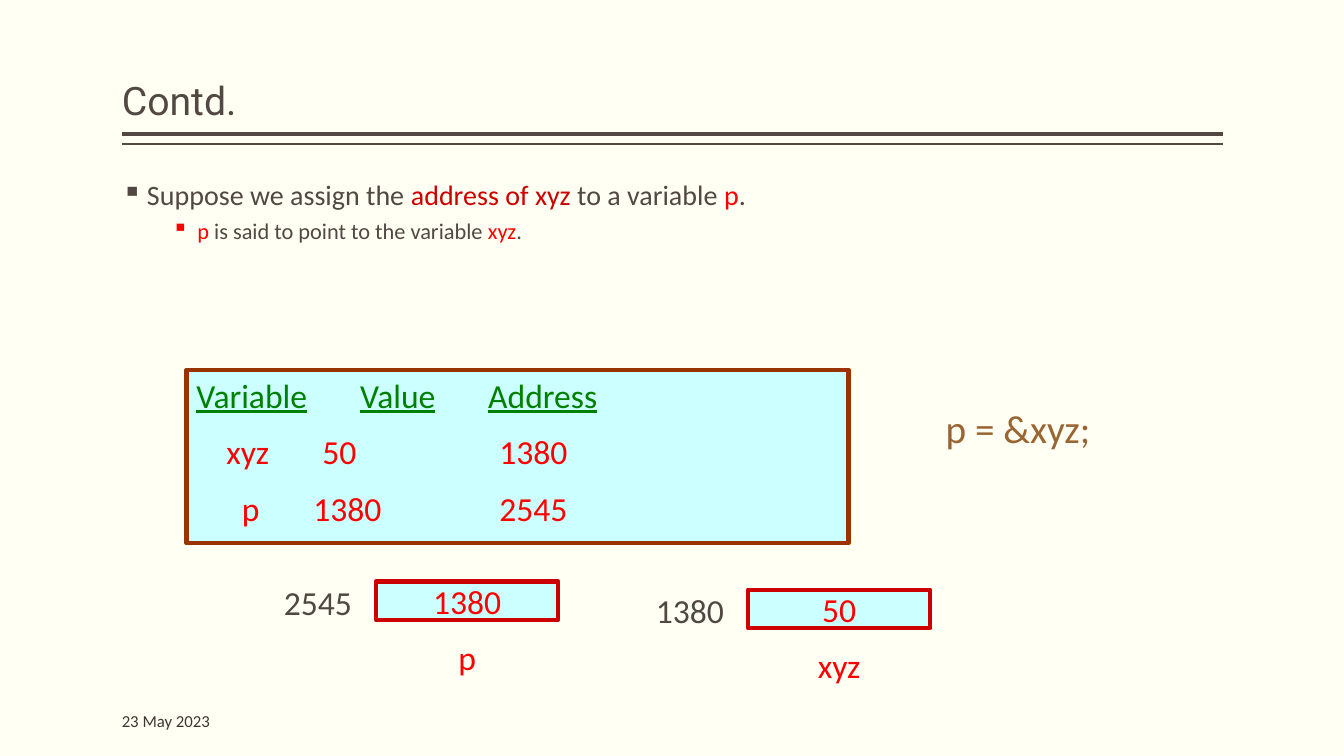
import pptx
import pptx.util
import pptx.dml.color
import pptx.enum.shapes
import pptx.enum.text
import pptx.oxml

Pt = pptx.util.Pt
RGB = pptx.dml.color.RGBColor
ANCHOR = pptx.enum.text.MSO_ANCHOR
ALIGN = pptx.enum.text.PP_ALIGN
KIND = pptx.enum.shapes.MSO_SHAPE
NS = 'xmlns:a="http://schemas.openxmlformats.org/drawingml/2006/main"'

CREAM = RGB(0xFF, 0xFF, 0xF3)
BROWN = RGB(0x51, 0x48, 0x43)
DARK = RGB(0x3D, 0x36, 0x32)
RED = RGB(0xFF, 0, 0)
CRIMSON = RGB(0xCC, 0, 0)
GREEN = RGB(0, 0x80, 0)
CYAN = RGB(0xCC, 0xFF, 0xFF)
RUST = RGB(0x99, 0x33, 0)
TAN = RGB(0x99, 0x66, 0x33)

TITLE = "Contd."
DATE = "23 May 2023"
CODE = "p = &xyz;"
# size, left margin, space before, runs
POINTS = [
    (20, 18, 18, [("Suppose we assign the ", BROWN), ("address of xyz", CRIMSON),
                  (" to a variable ", BROWN), ("p", RED), (".", BROWN)]),
    (16, 54, 6, [("p", RED), (" is said to point to the variable ", BROWN),
                 ("xyz", RED), (".", BROWN)]),
]
# words with their distance from the panel's text edge
HEAD = [("Variable", 0), ("Value", 117), ("Address", 208.5)]
ROWS = [
    [("xyz", 21.5), ("50", 90), ("1380", 216.5)],
    [("p", 32.5), ("1380", 83.5), ("2545", 216.5)],
]
# name, address, value, left, top
CELLS = [("xyz", "1380", "50", 534.25, 421.2), ("p", "2545", "1380", 268.5, 415.4)]

LEFT, WIDE = 87, 786.25
CELL_W, CELL_H = 130.3, 27.4
ADDR_W, LABEL_H = 68.4, 36.5

deck = pptx.Presentation()
deck.slide_width, deck.slide_height = Pt(960), Pt(540)
slide = deck.slides.add_slide(deck.slide_layouts[6])
slide.background.fill.solid()
slide.background.fill.fore_color.rgb = CREAM


def style(run, size, color, font="Calibri"):
    run.font.size, run.font.name = Pt(size), font
    run.font.color.rgb = color


def frame(shape, side=7.2, anchor=ANCHOR.TOP):
    """Set wrapping, insets and anchor; return the text frame."""
    text = shape.text_frame
    text.word_wrap = True
    text.margin_left = text.margin_right = Pt(side)
    text.margin_top = text.margin_bottom = Pt(3.6)
    text.vertical_anchor = anchor
    return text


def area(x, y, w, h):
    return slide.shapes.add_textbox(Pt(x), Pt(y), Pt(w), Pt(h))


def box(x, y, w, h, edge):
    shape = slide.shapes.add_shape(KIND.RECTANGLE, Pt(x), Pt(y), Pt(w), Pt(h))
    shape.shadow.inherit = False
    shape.fill.solid()
    shape.fill.fore_color.rgb = CYAN
    shape.line.color.rgb, shape.line.width = edge, Pt(3)
    return shape


def write(text, words, size, color, align=ALIGN.CENTER, font="Calibri"):
    para = text.paragraphs[0]
    para.text, para.alignment = words, align
    style(para.runs[0], size, color, font)
    return para


def rule(y, width):
    line = slide.shapes.add_connector(
        pptx.enum.shapes.MSO_CONNECTOR.STRAIGHT, Pt(LEFT), Pt(y), Pt(LEFT + WIDE), Pt(y))
    line.line.color.rgb, line.line.width = BROWN, Pt(width)
    line._element.spPr.append(pptx.oxml.parse_xml(f"<a:effectLst {NS}/>"))


def paras(text, count):
    return [text.paragraphs[0]] + [text.add_paragraph() for _ in range(count - 1)]


def add_run(para, words, size, color):
    run = para.add_run()
    run.text = words
    style(run, size, color)
    return run


def set_tabs(para, stops):
    tabs = "".join(f'<a:tab pos="{Pt(s)}" algn="l"/>' for s in stops if s)
    para._p.get_or_add_pPr().append(
        pptx.oxml.parse_xml(f"<a:tabLst {NS}>{tabs}</a:tabLst>"))


rule(95.75, 3)
rule(102.75, 1)
write(frame(area(LEFT, 500.4, 144, 28.8), 0, ANCHOR.MIDDLE), DATE, 12, DARK, ALIGN.LEFT)
title = frame(area(LEFT, 5.75, WIDE, 86.4), 0, ANCHOR.BOTTOM)
write(title, TITLE, 28, BROWN, ALIGN.LEFT, "Roboto").line_spacing = 0.9

body = frame(area(LEFT, 126, WIDE, 360), 0)
for para, (size, margin, before, runs) in zip(paras(body, len(POINTS)), POINTS):
    para.line_spacing, para.space_before = 0.9, Pt(before)
    prop = para._p.get_or_add_pPr()
    prop.set("marL", str(Pt(margin)))
    prop.set("indent", str(-Pt(18)))
    prop.append(pptx.oxml.parse_xml(f'<a:buChar {NS} char="▪"/>'))
    for words, color in runs:
        add_run(para, words, size, color)

panel = frame(box(133.2, 264.25, 473, 123.85, RUST))
for para, row in zip(paras(panel, 1 + len(ROWS)), [HEAD] + ROWS):
    para.alignment, para.space_before = ALIGN.LEFT, Pt(11.5)
    set_tabs(para, [stop for _, stop in row])
    color = GREEN if row is HEAD else RED
    for words, stop in row:
        if stop:
            add_run(para, "\t", 24, color)
        add_run(para, words, 24, color).font.underline = row is HEAD

write(frame(area(655.2, 285.1, 144, 41)), CODE, 28, TAN)

for name, addr, value, x, y in CELLS:
    cell = frame(box(x, y, CELL_W, CELL_H, CRIMSON), anchor=ANCHOR.MIDDLE)
    write(cell, value, 24, RED)
    write(frame(area(x - 75.6, y - 3.2, ADDR_W, LABEL_H)), addr, 24, BROWN)
    write(frame(area(x, y + 36, CELL_W, LABEL_H)), name, 24, RED)

deck.save("out.pptx")
